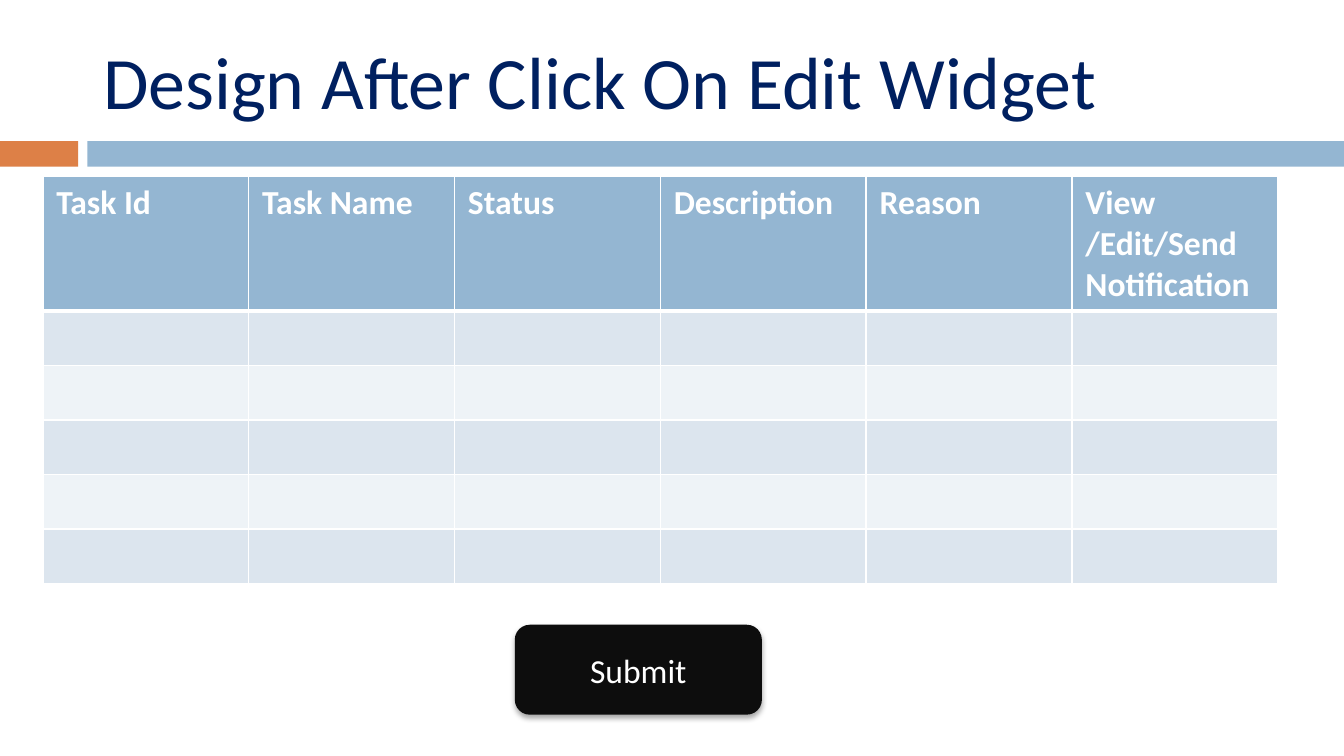
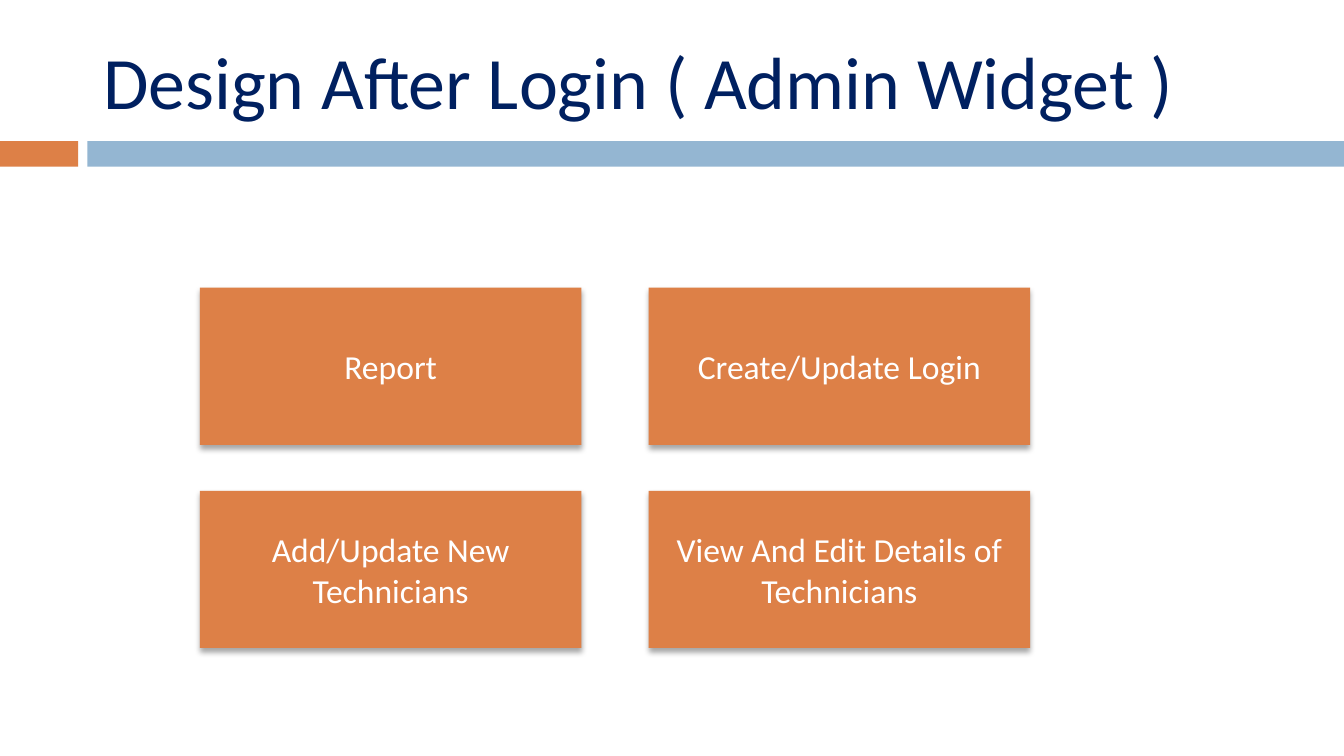
import dataclasses

import pptx
import pptx.dml.color
import pptx.enum.shapes
import pptx.enum.text
import pptx.oxml
import pptx.oxml.ns
import pptx.util

Cm = pptx.util.Cm
Kind = pptx.enum.shapes.MSO_SHAPE
Align = pptx.enum.text.PP_ALIGN
Anchor = pptx.enum.text.MSO_ANCHOR

EDIT = "Design After Click On Edit Widget"
HEADS = ["Task Id", "Task Name", "Status", "Description", "Reason",
         "View /Edit/Send Notification"]
EMPTY = 5
BUTTON = "Submit"

ADMIN = "Design After Login ( Admin Widget )"
TILES = [["Report", "Create/Update Login"],
         ["Add/Update New Technicians", "View And Edit Details of Technicians"]]


@dataclasses.dataclass(frozen=True)
class Theme:
    font: str = "Calibri"
    title: float = 39.6
    body: float = 18
    navy: str = "002060"
    white: str = "FFFFFF"
    black: str = "0D0D0D"
    orange: str = "DD8047"
    blue: str = "94B6D2"
    stripes: tuple = ("DCE5EE", "EEF3F7")


THEME = Theme()
WIDTH, HEIGHT = 25.4, 14.29


def paint(item, color):
    item.fill.solid()
    item.fill.fore_color.rgb = pptx.dml.color.RGBColor.from_string(color)


def write(frame, text, size, color, align=Align.LEFT, bold=False):
    para = frame.paragraphs[0]
    para.alignment = align
    run = para.add_run()
    run.text = text
    style = {"name": THEME.font, "size": pptx.util.Pt(size), "bold": bold}
    for key, value in style.items():
        setattr(run.font, key, value)
    run.font.color.rgb = pptx.dml.color.RGBColor.from_string(color)


def block(slide, box, color, kind=Kind.RECTANGLE):
    shape = slide.shapes.add_shape(kind, *map(Cm, box))
    shape.shadow.inherit = False
    shape.line.fill.background()
    paint(shape, color)
    return shape


def button(slide, box, color, text, kind=Kind.RECTANGLE):
    """Add a block with a soft shadow and a centred label."""
    shape = block(slide, box, color, kind)
    glow = shape.element.spPr.find(pptx.oxml.ns.qn("a:effectLst"))
    glow.append(pptx.oxml.parse_xml(
        f'<a:outerShdw {pptx.oxml.ns.nsdecls("a")} blurRad="38100" dist="25400" '
        'dir="5400000" rotWithShape="0"><a:srgbClr val="000000">'
        '<a:alpha val="35000"/></a:srgbClr></a:outerShdw>'))
    shape.text_frame.vertical_anchor = Anchor.MIDDLE
    write(shape.text_frame, text, THEME.body, THEME.white, Align.CENTER)


def edge(cell, low):
    """Draw white borders, with the bottom one `low` points wide."""
    props = cell._tc.get_or_add_tcPr()
    for side, wide in {"L": 1, "R": 1, "T": 1, "B": low}.items():
        props.append(pptx.oxml.parse_xml(
            f'<a:ln{side} {pptx.oxml.ns.nsdecls("a")} w="{wide * 12700}">'
            f'<a:solidFill><a:srgbClr val="{THEME.white}"/></a:solidFill>'
            f'</a:ln{side}>'))


def start(deck, title):
    """Add a slide with the shared bands and title."""
    slide = deck.slides.add_slide(deck.slide_layouts[6])
    top, tall, left = 2.67, 0.48, 1.65
    block(slide, (0, top, 1.48, tall), THEME.orange)
    block(slide, (left, top, WIDTH - left, tall), THEME.blue)
    frame = slide.shapes.add_textbox(*map(Cm, (1.7, 0.48, 22.66, 2.06))).text_frame
    for key, value in {"word_wrap": True, "vertical_anchor": Anchor.MIDDLE}.items():
        setattr(frame, key, value)
    write(frame, title, THEME.title, THEME.navy)
    return slide


def tasks(slide):
    wide, head, tall = 3.89, 2.55, 1.03
    box = (0.81, 3.33, wide * len(HEADS), head + tall * EMPTY)
    table = slide.shapes.add_table(EMPTY + 1, len(HEADS), *map(Cm, box)).table
    for col in table.columns:
        col.width = Cm(wide)
    for num, row in enumerate(table.rows):
        row.height = Cm(tall if num else head)
        for cell, text in zip(row.cells, HEADS):
            edge(cell, 1 if num else 3)
            paint(cell, THEME.stripes[(num - 1) % 2] if num else THEME.blue)
            if not num:
                write(cell.text_frame, text, THEME.body, THEME.white, bold=True)


def tiles(slide):
    left, top, wide, tall = 3.78, 5.44, 7.21, 2.97
    gap_x, gap_y = 1.27, 0.87
    for row, names in enumerate(TILES):
        for col, name in enumerate(names):
            box = (left + col * (wide + gap_x), top + row * (tall + gap_y), wide, tall)
            button(slide, box, THEME.orange, name)


def main():
    deck = pptx.Presentation()
    deck.slide_width, deck.slide_height = Cm(WIDTH), Cm(HEIGHT)
    slide = start(deck, EDIT)
    button(slide, (9.73, 11.81, 4.67, 1.7), THEME.black, BUTTON, Kind.ROUNDED_RECTANGLE)
    tasks(slide)
    tiles(start(deck, ADMIN))
    deck.save("out.pptx")


if __name__ == "__main__":
    main()
